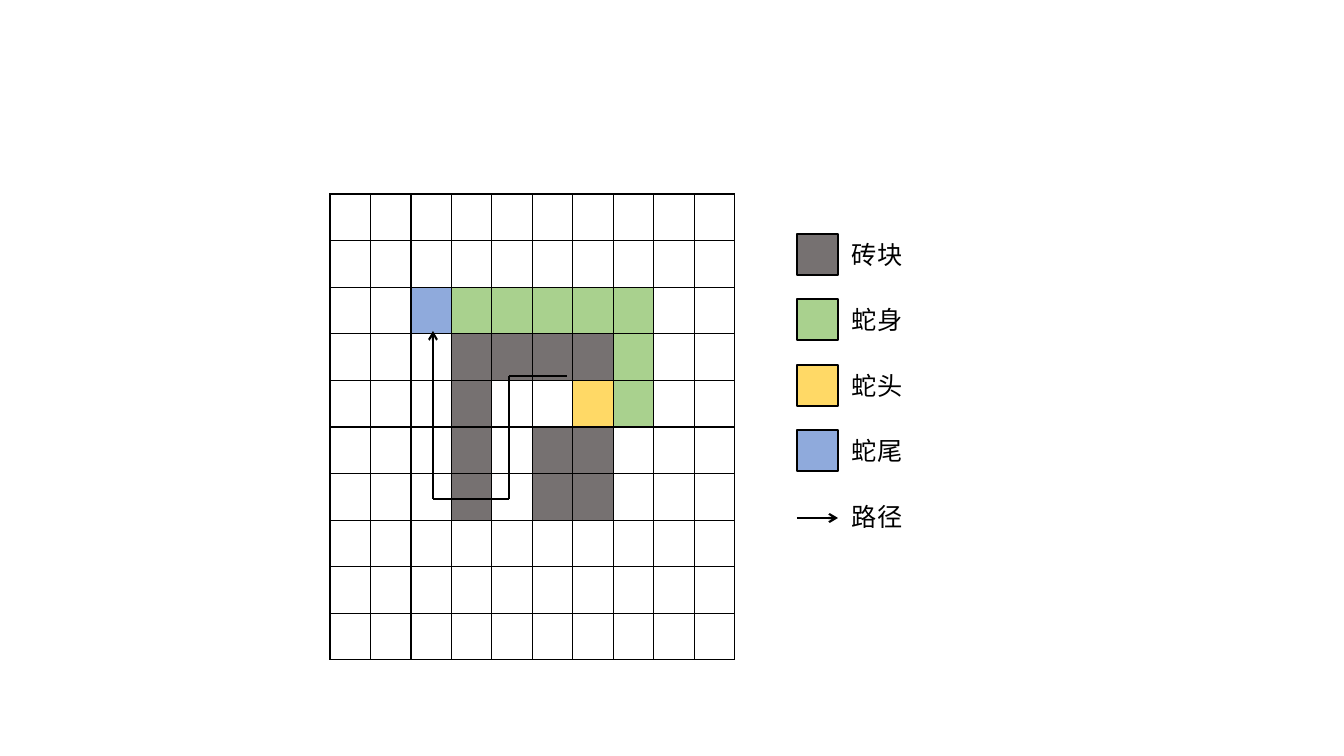
"""Draw a snake board with its escape path and a legend."""
from dataclasses import dataclass
from itertools import pairwise

from lxml.etree import SubElement
from pptx import Presentation
from pptx.dml.color import RGBColor
from pptx.enum.shapes import MSO_CONNECTOR as LINE, MSO_SHAPE as SHAPE
from pptx.enum.text import MSO_AUTO_SIZE as AUTO
from pptx.oxml.ns import qn
from pptx.util import Emu, Pt

BLACK = RGBColor(0x00, 0x00, 0x00)
WHITE = RGBColor(0xFF, 0xFF, 0xFF)
BRICK = RGBColor(0x76, 0x71, 0x71)
BODY = RGBColor(0xA9, 0xD1, 0x8E)
HEAD = RGBColor(0xFF, 0xD9, 0x66)
TAIL = RGBColor(0x8F, 0xAA, 0xDC)

FONT = "Noto Sans CJK SC"
FONT_SIZE = Pt(18)
EMU_PER_PX = 914400 / 100.8

BOARD = (
    "..........",
    "..........",
    "..TBBBBB..",
    "...####B..",
    "...#  HB..",
    "...# ##...",
    "...# ##...",
    "..........",
    "..........",
    "..........",
)
CELL_COLORS = {"#": BRICK, "B": BODY, "H": HEAD, "T": TAIL, " ": WHITE}
BOARD_BOX = (330, 194, 405, 400)
SNAKE_PATH = ((567, 376), (509, 376), (509, 499), (433, 499), (433, 331))

LEGEND_LEFT, LEGEND_TOP, LEGEND_SPAN = 797, 234, 262
SWATCH, LABEL_LEFT, LABEL_WIDTH = 41, 842, 72


@dataclass(frozen=True)
class LegendItem:
    """A legend label with its swatch colour, or an arrow when it has none."""
    label: str
    color: RGBColor | None = None


LEGEND = (
    LegendItem("砖块", BRICK),
    LegendItem("蛇身", BODY),
    LegendItem("蛇头", HEAD),
    LegendItem("蛇尾", TAIL),
    LegendItem("路径"),
)


def px(n: float) -> Emu:
    """Turn pixels into EMU."""
    return Emu(round(n * EMU_PER_PX))


def format_cell(cell, color: RGBColor | None) -> None:
    """Give a cell its fill, black borders and empty-line font."""
    tc_pr = cell._tc.get_or_add_tcPr()
    for side in ("lnL", "lnR", "lnT", "lnB"):
        ln = SubElement(tc_pr, qn(f"a:{side}"), w=str(Pt(1)))
        fill = SubElement(ln, qn("a:solidFill"))
        SubElement(fill, qn("a:srgbClr"), val=str(BLACK))
    if color is None:
        cell.fill.background()
    else:
        cell.fill.solid()
        cell.fill.fore_color.rgb = color
    p = cell.text_frame.paragraphs[0]._p
    end = SubElement(p, qn("a:endParaRPr"), sz=str(int(FONT_SIZE.pt * 100)))
    for script in ("latin", "ea"):
        SubElement(end, qn(f"a:{script}"), typeface=FONT)


def add_board(slide) -> None:
    """Draw the board as a table with equal rows and columns."""
    rows, cols = len(BOARD), len(BOARD[0])
    left, top, width, height = map(px, BOARD_BOX)
    table = slide.shapes.add_table(rows, cols, left, top, width, height).table
    table.first_row = table.horz_banding = False
    for r, marks in enumerate(BOARD):
        for c, mark in enumerate(marks):
            format_cell(table.cell(r, c), CELL_COLORS.get(mark))


def add_line(slide, start: tuple[int, int], end: tuple[int, int], *, arrow: bool = False) -> None:
    """Draw a straight black line, with an arrowhead at its end on request."""
    cxn = slide.shapes.add_connector(LINE.STRAIGHT, *map(px, start + end))
    cxn.line.color.rgb = BLACK
    cxn.line.width = Pt(1.5)
    if arrow:
        SubElement(cxn.line._get_or_add_ln(), qn("a:tailEnd"), type="arrow")
    SubElement(cxn._element.spPr, qn("a:effectLst"))


def add_swatch(slide, top: int, color: RGBColor) -> None:
    """Draw a legend square."""
    sp = slide.shapes.add_shape(SHAPE.RECTANGLE, *map(px, (LEGEND_LEFT, top, SWATCH, SWATCH)))
    sp.shadow.inherit = False
    sp.fill.solid()
    sp.fill.fore_color.rgb = color
    sp.line.color.rgb = BLACK
    sp.line.width = Pt(1)


def add_text(slide, text: str, *, left: int, top: int, width: int, height: int) -> None:
    """Write a single unwrapped line of text."""
    tf = slide.shapes.add_textbox(*map(px, (left, top, width, height))).text_frame
    tf.word_wrap = False
    tf.auto_size = AUTO.SHAPE_TO_FIT_TEXT
    r = tf.paragraphs[0].add_run()
    r.text = text
    r.font.name = FONT
    r.font.size = FONT_SIZE
    r.font.color.rgb = BLACK
    SubElement(r.font._element, qn("a:ea"), typeface=FONT)


def add_legend(slide) -> None:
    """Draw the legend rows at equal steps."""
    for i, item in enumerate(LEGEND):
        top = LEGEND_TOP + LEGEND_SPAN * i // (len(LEGEND) - 1)
        if item.color is None:
            y = top + 22
            add_line(slide, (LEGEND_LEFT, y), (LEGEND_LEFT + SWATCH, y), arrow=True)
        else:
            add_swatch(slide, top, item.color)
        add_text(slide, item.label, left=LABEL_LEFT, top=top, width=LABEL_WIDTH, height=SWATCH)


def main() -> None:
    """Build and save the slide."""
    prs = Presentation()
    prs.slide_width, prs.slide_height = px(1344), px(756)
    slide = prs.slides.add_slide(prs.slide_layouts[6])
    add_board(slide)
    for start, end in pairwise(SNAKE_PATH):
        add_line(slide, start, end, arrow=end == SNAKE_PATH[-1])
    add_legend(slide)
    prs.save("out.pptx")


main()
